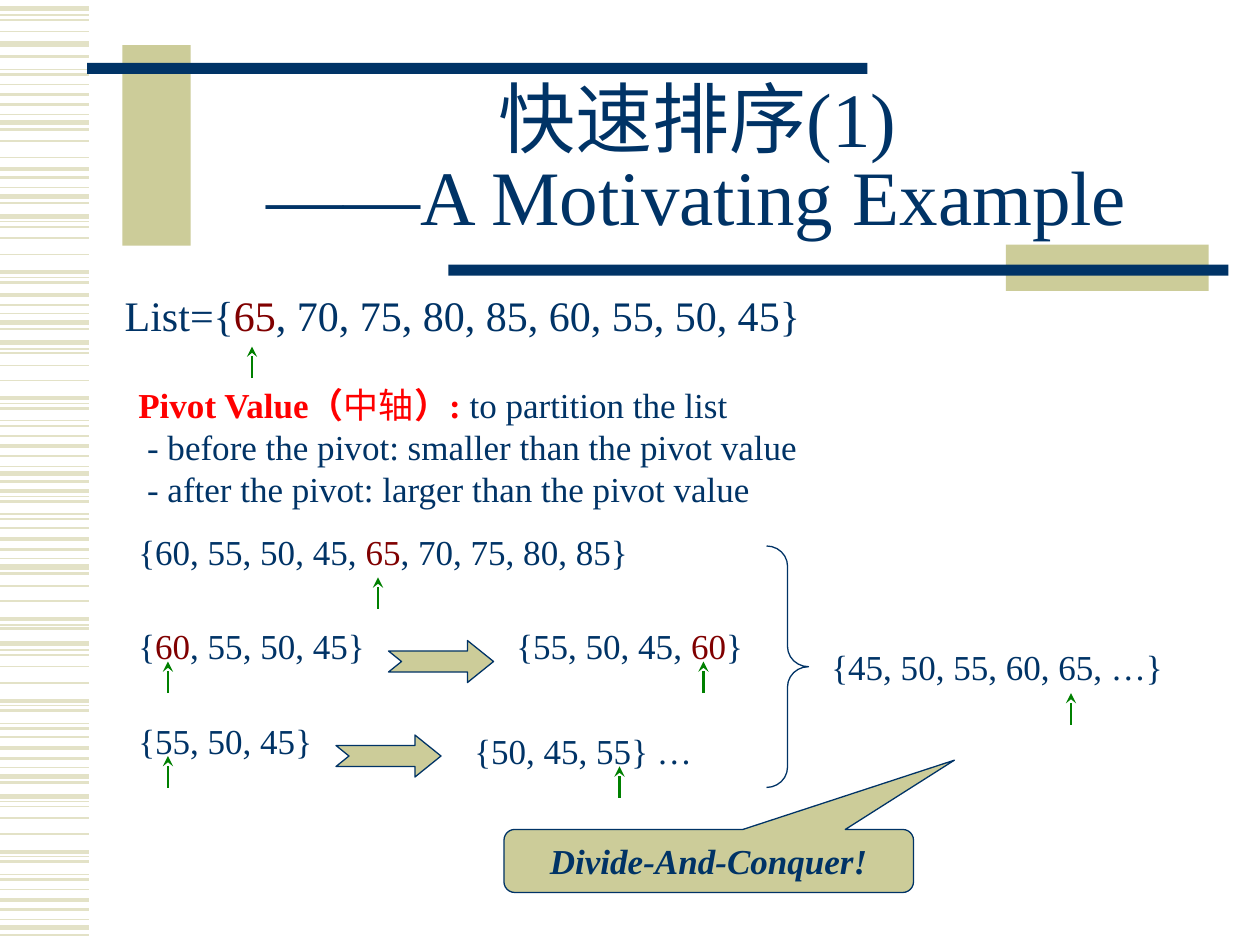
from lxml import etree
from pptx import Presentation
from pptx.dml.color import RGBColor
from pptx.enum.shapes import MSO_CONNECTOR, MSO_SHAPE
from pptx.enum.text import MSO_ANCHOR, PP_ALIGN
from pptx.oxml.ns import qn
from pptx.util import Inches, Pt

NAVY = RGBColor(0x00, 0x33, 0x66)
KHAKI = RGBColor(0xCC, 0xCC, 0x99)
PALE = RGBColor(0xE3, 0xE2, 0xC7)
MAROON = RGBColor(0x80, 0x00, 0x00)
RED = RGBColor(0xFF, 0x00, 0x00)
GREEN = RGBColor(0x00, 0x80, 0x00)
LINE = MSO_CONNECTOR.STRAIGHT
RECT = MSO_SHAPE.RECTANGLE
NOTCH = MSO_SHAPE.NOTCHED_RIGHT_ARROW
BRACE = MSO_SHAPE.RIGHT_BRACE
CALLOUT = MSO_SHAPE.ROUNDED_RECTANGULAR_CALLOUT
MIDDLE, TOP = MSO_ANCHOR.MIDDLE, MSO_ANCHOR.TOP
CENTER = PP_ALIGN.CENTER
LATIN, ASIAN = "Times New Roman", "Noto Sans CJK SC"
COLS, ROWS = 120, 90
CELL = Inches(10) // COLS
STRIPES = {
    0.75: [12, 55, 91, 149, 176, 220, 249, 277, 320, 334, 370, 394, 408,
           443, 496, 516, 560, 574, 609, 636, 680, 694, 730],
    1: [16, 25, 67, 112, 125, 180, 189, 202, 280, 290, 302, 346, 419, 465,
        477, 520, 529, 542, 585, 640, 649, 662, 706],
    1.5: [45, 59, 83, 103, 141, 161, 224, 242, 261, 324, 338, 362, 382, 398,
          412, 436, 455, 499, 564, 578, 602, 621, 684, 698, 722, 742],
    2.25: [75, 134, 216, 234, 316, 354, 390, 428, 491, 556, 594, 676, 714],
    3: [7, 35, 97, 156, 172, 256, 272, 376, 450, 511, 616, 632, 736],
}


def cells(*sizes):
    """Turn grid counts into lengths."""
    return [round(size * CELL) for size in sizes]


def style(run, size, color, bold=False, italic=False):
    """Format one run of text."""
    font = run.font
    font.name, font.size = LATIN, Pt(size)
    font.bold, font.italic = bold, italic
    font.color.rgb = color
    etree.SubElement(font._element, qn("a:ea")).set("typeface", ASIAN)


def label(slide, box, anchor=MIDDLE):
    """Add an empty wrapped text box and return its frame."""
    frame = slide.shapes.add_textbox(*cells(*box)).text_frame
    frame.word_wrap = True
    frame.vertical_anchor = anchor
    frame.margin_right = 0
    return frame


def fill_list(para, text, size):
    """Write a list whose pivot stands between bars."""
    for index, part in enumerate(text.split("|")):
        run = para.add_run()
        run.text = part
        style(run, size, MAROON if index % 2 else NAVY)


def line(slide, start, end, color, width):
    """Draw a straight line and return it."""
    link = slide.shapes.add_connector(LINE, *cells(*start, *end))
    link.line.color.rgb = color
    link.line.width = Pt(width)
    etree.SubElement(link._element.spPr, qn("a:effectLst"))
    return link


def pointer(slide, col, row):
    """Draw an upward arrow with its tip at a cell."""
    link = line(slide, (col, row + 3), (col, row), GREEN, 1.5)
    head = etree.SubElement(link.line._get_or_add_ln(), qn("a:tailEnd"))
    head.set("type", "stealth")


def block(slide, kind, box, fill=None, edge=None, adjust=()):
    """Add a preset shape and return it."""
    shape = slide.shapes.add_shape(kind, *cells(*box))
    shape.shadow.inherit = False
    if fill is None:
        shape.fill.background()
    else:
        shape.fill.solid()
        shape.fill.fore_color.rgb = fill
    if edge is None:
        shape.line.fill.background()
    else:
        shape.line.color.rgb = edge
        shape.line.width = Pt(0.75)
    for index, value in enumerate(adjust):
        shape.adjustments[index] = value
    return shape


def stripes(slide, box):
    """Draw the striped band along the side."""
    left, top, width, height = box
    for weight, marks in STRIPES.items():
        for mark in marks:
            row = top + height * mark / 750
            line(slide, (left, row), (left + width, row), PALE, weight)


def banner(slide, box):
    """Place the title between its bars."""
    left, top = box[:2]
    for col, row, width, height, color in (
            (3.36, 0, 6.5, 19.1, KHAKI), (0, 1.7, 74.3, 1.05, NAVY),
            (87.5, 19, 19.3, 4.4, KHAKI), (34.4, 20.9, 74.3, 1.05, NAVY)):
        block(slide, RECT, (left + col, top + row, width, height), color)
    frame = label(slide, (left + 9.7, top + 3.7, 96.8, 15))
    frame.margin_right = Inches(0.1)
    frame.text = "快速排序(1)\v——A Motivating Example"
    para = frame.paragraphs[0]
    para.alignment, para.line_spacing = CENTER, 0.85
    for run in para.runs:
        style(run, 44, NAVY)


def intro(slide, box):
    """Place the first list and the note on its pivot."""
    left, top, width, height = box
    para = label(slide, box, TOP).paragraphs[0]
    para.space_before = Pt(4.8)
    fill_list(para, "List={|65|, 70, 75, 80, 85, 60, 55, 50, 45}", 24)
    pointer(slide, left + 13.3, top + 6)
    note = label(slide, (left + 1.3, top + 10, 65, 11))
    note.text = ("\n - before the pivot: smaller than the pivot value"
                 "\n - after the pivot: larger than the pivot value")
    for text, color, bold in (("Pivot Value（", RED, True),
                              ("中轴", RED, False), ("）: ", RED, True),
                              ("to partition the list", NAVY, False)):
        run = note.paragraphs[0].add_run()
        run.text = text
        style(run, 20, color, bold)
    for para in note.paragraphs[1:]:
        style(para.runs[0], 20, NAVY)


def steps(slide, box):
    """Place the partition steps and their result."""
    left, top = box[:2]
    for col, row, width, text, tip, drop in (
            (0, 0, 61, "{60, 55, 50, 45, |65|, 70, 75, 80, 85}", 24, 5),
            (0, 9, 24, "{|60|, 55, 50, 45}", 4, 4),
            (36, 9, 24, "{55, 50, 45, |60|}", 19, 4),
            (0, 18, 19, "{55, 50, 45}", 4, 4),
            (32, 19, 30, "{50, 45, 55} …", 15, 4),
            (66, 11, 34, "{45, 50, 55, 60, 65, …}", 24, 5)):
        frame = label(slide, (left + col, top + row, width, 5))
        fill_list(frame.paragraphs[0], text, 20)
        pointer(slide, left + col + tip, top + row + drop)
    for col, row in ((25, 11), (20, 20)):
        block(slide, NOTCH, (left + col, top + row, 10, 4), KHAKI, NAVY,
              (0.5, 0.62))
    block(slide, BRACE, (left + 61, top + 2, 4, 23), None, NAVY, (0.48, 0.5))


def motto(slide, box):
    """Place the callout with the closing phrase."""
    shape = block(slide, CALLOUT, box, KHAKI, NAVY, (0.6, -1.6, 0.17))
    frame = shape.text_frame
    frame.text = "Divide-And-Conquer!"
    frame.vertical_anchor = MIDDLE
    para = frame.paragraphs[0]
    para.alignment = CENTER
    style(para.runs[0], 20, NAVY, True, True)


def main():
    """Build and save the slide."""
    deck = Presentation()
    deck.slide_width, deck.slide_height = cells(COLS, ROWS)
    slide = deck.slides.add_slide(deck.slide_layouts[6])
    stripes(slide, (0, 0, 8.5, ROWS))
    banner(slide, (8.3, 4.3, 108.7, 23.4))
    intro(slide, (10.7, 27, 104.4, 53))
    steps(slide, (12, 50, 100, 27))
    motto(slide, (48, 79, 39, 6))
    deck.save("out.pptx")


main()
